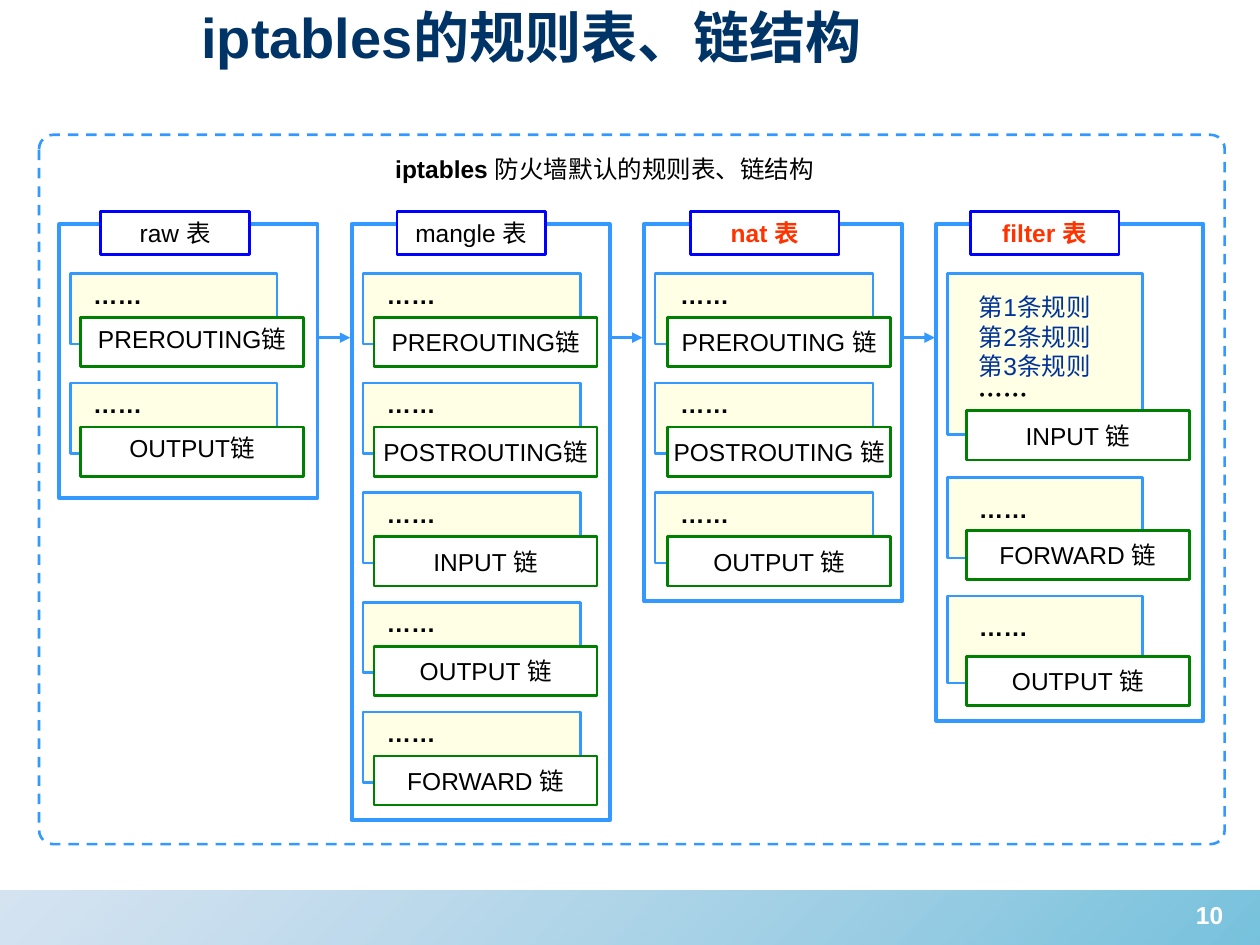
from copy import deepcopy

from pptx import Presentation, util as u
from pptx.dml.color import RGBColor
from pptx.enum import dml, shapes, text
from pptx.oxml.ns import qn
from pptx.oxml.xmlchemy import OxmlElement

COLORS = {
    "title": "003366", "black": "000000", "white": "FFFFFF", "hot": "FF3300",
    "rule": "003399", "frame": "3399FF", "badge": "0000FF", "chain": "008000",
    "cream": "FFFFCC", "teal": "1C99C6", "mist": "88B0D8",
}
RULES = "第1条规则\n第2条规则\n第3条规则\n"
DOTS = "……"

PITCH, FIRST_LEFT, FRAME_TOP = 2.32, 0.47, 1.78
CHAIN_TOP, CHAIN_PITCH = 2.17, 0.87
ARROW_Y, ARROW_GAP = 2.68, 0.01

# Offsets ("badge_dx", "label_dx") are measured from the left of the table frame.
TABLES = [
    dict(name="raw 表", size=(2.05, 2.17), badge_dx=0.33, label_dx=0.17, rules_w=1.64,
         label=dict(anchor="TOP", inset=(0.1, 0.05)),
         chains=["PREROUTING链", "OUTPUT链"]),
    dict(name="mangle 表", size=(2.05, 4.73), badge_dx=0.36, label_dx=0.18, rules_w=1.73,
         chains=["PREROUTING链", "POSTROUTING链", "INPUT 链", "OUTPUT 链", "FORWARD 链"]),
    dict(name="nat 表", size=(2.05, 2.99), badge_dx=0.37, label_dx=0.19, rules_w=1.73, hot=True,
         chains=["PREROUTING 链", "POSTROUTING 链", "OUTPUT 链"]),
    dict(name="filter 表", size=(2.12, 3.94), badge_dx=0.27, label_dx=0.24, rules_w=1.55, hot=True,
         chains=["INPUT 链", "FORWARD 链", "OUTPUT 链"],
         # top and height of the rules, top of their text, top of the chain label
         rows=[(2.17, 1.28, 2.27, 3.26), (3.79, 0.64, 3.87, 4.21), (4.73, 0.69, 4.81, 5.21)]),
]


def rgb(name):
    return RGBColor.from_string(COLORS[name])


def set_alpha(color_element, percent):
    alpha = OxmlElement("a:alpha")
    alpha.set("val", str(percent * 1000))
    color_element.append(alpha)


def write(box, spans, size=14, align="LEFT", anchor="TOP", inset=(0.1, 0.05)):
    """Fill a box with one paragraph of (text, color, bold) spans; a newline is a line break."""
    frame = box.text_frame
    frame.word_wrap = True
    frame.vertical_anchor = text.MSO_ANCHOR[anchor]
    frame.margin_left = frame.margin_right = u.Inches(inset[0])
    frame.margin_top = frame.margin_bottom = u.Inches(inset[1])
    para = frame.paragraphs[0]
    para.alignment = text.PP_ALIGN[align]
    for words, color, bold in spans:
        for index, line in enumerate(words.split("\n")):
            if index:
                para.add_line_break()
            if line:
                span = para.add_run()
                span.text = line
                span.font.name, span.font.size, span.font.bold = "Arial", u.Pt(size), bold
                span.font.color.rgb = rgb(color)
    for line_break in para._p.findall(qn("a:br")):
        line_break.append(deepcopy(para.runs[0]._r.rPr))


def add_text(page, at, spans, **form):
    write(page.shapes.add_textbox(*map(u.Inches, at)), spans, **form)


def add_box(page, at, fill=None, line=None, width=1.5, kind="RECTANGLE"):
    box = page.shapes.add_shape(shapes.MSO_SHAPE[kind], *map(u.Inches, at))
    box.shadow.inherit = False
    if fill:
        box.fill.solid()
        box.fill.fore_color.rgb = rgb(fill)
    else:
        box.fill.background()
    if line:
        box.line.color.rgb = rgb(line)
        box.line.width = u.Pt(width)
    else:
        box.line.fill.background()
    return box


def add_arrow(page, left, right):
    """Draw an arrow whose triangle is at the right end."""
    arrow = page.shapes.add_connector(
        shapes.MSO_CONNECTOR.STRAIGHT, *map(u.Inches, (right, ARROW_Y, left, ARROW_Y)))
    arrow.line.color.rgb = rgb("frame")
    arrow.line.width = u.Pt(1.5)
    head = OxmlElement("a:headEnd")
    head.set("type", "triangle")
    arrow.line._get_or_add_ln().append(head)
    arrow._element.spPr.append(OxmlElement("a:effectLst"))


def add_footer(page):
    band = add_box(page, (0, 7.07, 10, 0.43))
    band.fill.gradient()
    band.fill.gradient_angle = 135
    for stop, color, percent in zip(band.fill.gradient_stops, ("teal", "mist"), (60, 35)):
        stop.color.rgb = rgb(color)
    for element, percent in zip(band._element.spPr.iter(qn("a:srgbClr")), (60, 35)):
        set_alpha(element, percent)
    for stop, position in zip(band.fill.gradient_stops, (0, 1)):
        stop.position = position
    add_text(page, (9.24, 7.09, 0.72, 0.52), [("10", "white", True)], align="CENTER")


def add_table_frame(page, left, table):
    add_box(page, (left, FRAME_TOP, *table["size"]), "white", "frame", 2.25)
    badge = add_box(page, (left + table["badge_dx"], 1.68, 1.18, 0.34), "white", "badge")
    hot = table.get("hot", False)
    write(badge, [(table["name"], "hot" if hot else "black", hot)], align="CENTER")

    tops = [CHAIN_TOP + CHAIN_PITCH * row for row in range(len(table["chains"]))]
    rows = table.get("rows") or [(top, 0.56, top, top + 0.35) for top in tops]
    label_left = left + table["label_dx"]
    label_form = table.get("label", dict(anchor="MIDDLE", inset=(0, 0)))
    for chain, (top, height, text_top, label_top) in zip(table["chains"], rows):
        rules = add_box(page, (left + 0.09, top, table["rules_w"], height), "cream", "frame")
        set_alpha(rules._element.spPr.find(qn("a:solidFill"))[0], 50)
        spans = [(DOTS, "black", True)]
        text_height = 0.34
        if height > 1:
            spans.insert(0, (RULES, "rule", False))
            text_height = 1.04
        add_text(page, (label_left, text_top, 1.22, text_height), spans)
        label = add_box(page, (label_left, label_top, 1.77, 0.39), "white", "chain")
        write(label, [(chain, "black", False)], align="CENTER", **label_form)


def main():
    deck = Presentation()
    deck.slide_width, deck.slide_height = u.Inches(10), u.Inches(7.5)
    page = deck.slides.add_slide(deck.slide_layouts[6])

    add_footer(page)
    add_text(page, (1.5, -0.03, 8.07, 0.64), [("iptables的规则表、链结构", "title", True)],
             size=32, anchor="MIDDLE")
    add_text(page, (2.82, 1.17, 3.96, 0.34),
             [("iptables ", "black", True), ("防火墙默认的规则表、链结构", "black", False)],
             align="CENTER")

    lefts = [FIRST_LEFT + PITCH * column for column in range(len(TABLES))]
    for left, table in zip(lefts, TABLES):
        add_table_frame(page, left, table)

    border = add_box(page, (0.31, 1.07, 9.41, 5.63), line="frame", kind="ROUNDED_RECTANGLE")
    border.adjustments[0] = 0.02
    border.line.dash_style = dml.MSO_LINE.DASH

    for left, table, following in zip(lefts, TABLES, lefts[1:]):
        add_arrow(page, left + table["size"][0] + ARROW_GAP, following - ARROW_GAP)

    deck.save("out.pptx")


if __name__ == "__main__":
    main()
